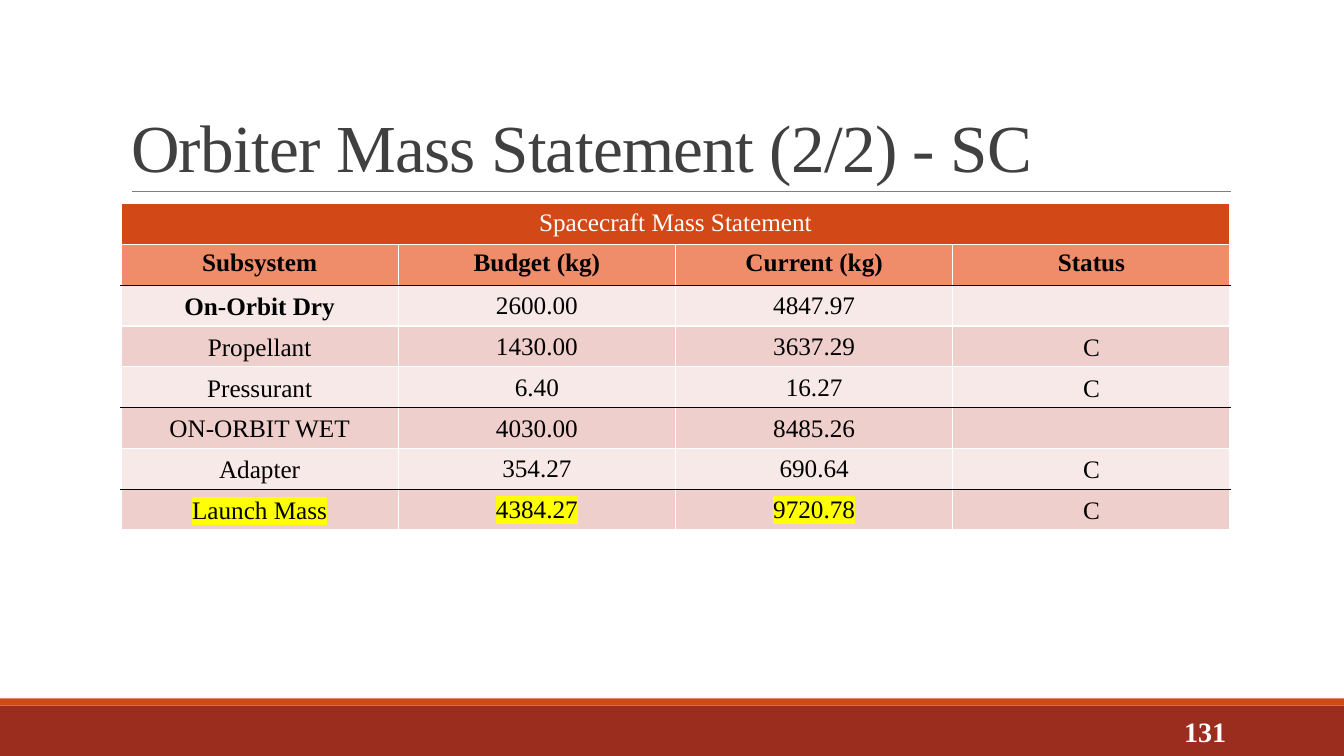
from dataclasses import dataclass

from lxml.etree import SubElement
from pptx import Presentation
from pptx.dml.color import RGBColor
from pptx.enum.shapes import MSO_CONNECTOR as Connector, MSO_SHAPE as Shape
from pptx.enum.text import MSO_ANCHOR as Anchor, MSO_AUTO_SIZE as AutoSize, PP_ALIGN as Align
from pptx.oxml.ns import qn
from pptx.util import Inches, Pt


@dataclass(frozen=True)
class Theme:
    font: str = "Times New Roman"
    title_size: int = 48
    number_size: int = 20
    table_size: int = 18
    white: str = "FFFFFF"
    black: str = "000000"
    title: str = "404040"
    rule: str = "808080"
    footer: str = "9B2D1F"
    accent: str = "D34817"
    heading: str = "EF8C6A"
    bands: tuple = ("F7E9E8", "EFCFCC")
    highlight: str = "FFFF00"


THEME = Theme()
WIDTH, HEIGHT = 13.33, 7.5
LEFT, CONTENT_WIDTH = 1.2, 11
TABLE_TOP, ROW_HEIGHT = 2.02, 0.405

TABLE_TITLE = "Spacecraft Mass Statement"
HEADINGS = ("Subsystem", "Budget (kg)", "Current (kg)", "Status")
MASSES = (
    ("On-Orbit Dry", "2600.00", "4847.97", ""),
    ("Propellant", "1430.00", "3637.29", "C"),
    ("Pressurant", "6.40", "16.27", "C"),
    ("ON-ORBIT WET", "4030.00", "8485.26", ""),
    ("Adapter", "354.27", "690.64", "C"),
    ("Launch Mass", "4384.27", "9720.78", "C"),
)
BOLD_LABEL, HIGHLIGHTED_LABEL = "On-Orbit Dry", "Launch Mass"
RULED_ROWS = {1, 4, 6}  # table rows with a black line below


def set_format(target, values):
    for name, value in values.items():
        setattr(target, name, value)


def write(frame, text, size, color, align, bold=False, highlight=None):
    paragraph = frame.paragraphs[0]
    paragraph.alignment = align
    run = paragraph.add_run()
    run.text = text
    run.font.color.rgb = RGBColor.from_string(color)
    set_format(run.font, {"name": THEME.font, "size": Pt(size), "bold": bold})
    if highlight:
        properties = run.font._element
        mark = SubElement(properties, qn("a:highlight"))
        SubElement(mark, qn("a:srgbClr"), val=highlight)
        properties.find(qn("a:latin")).addprevious(mark)
    return run


def add_band(slide, top, height, color):
    band = slide.shapes.add_shape(
        Shape.RECTANGLE, 0, Inches(top), Inches(WIDTH), Inches(height))
    band.shadow.inherit = False
    band.fill.solid()
    band.fill.fore_color.rgb = RGBColor.from_string(color)
    band.line.fill.background()


def add_rule(slide, left, right, top):
    rule = slide.shapes.add_connector(
        Connector.STRAIGHT, Inches(left), Inches(top), Inches(right), Inches(top))
    rule.line.color.rgb = RGBColor.from_string(THEME.rule)
    rule.line.width = Pt(0.5)
    SubElement(rule._element.spPr, qn("a:effectLst"))


def add_title(slide, text):
    title = slide.shapes.title
    set_format(title, {"left": Inches(LEFT), "top": Inches(0.31),
                       "width": Inches(CONTENT_WIDTH), "height": Inches(1.59)})
    set_format(title.text_frame, {"vertical_anchor": Anchor.BOTTOM,
                                  "auto_size": AutoSize.NONE, "word_wrap": True})
    run = write(title.text_frame, text, THEME.title_size, THEME.title, Align.LEFT)
    run.font._element.set("spc", "-50")
    title.text_frame.paragraphs[0].line_spacing = 0.85


def add_page_number(slide, text):
    box = slide.shapes.add_textbox(Inches(10.83), Inches(7.06), Inches(1.43), Inches(0.4))
    set_format(box.text_frame, {"vertical_anchor": Anchor.MIDDLE, "word_wrap": True})
    write(box.text_frame, text, THEME.number_size, THEME.white, Align.RIGHT, bold=True)


def set_borders(cell, row):
    colors = {
        "L": THEME.white,
        "R": THEME.white,
        "T": THEME.black if row - 1 in RULED_ROWS else THEME.white,
        "B": THEME.black if row in RULED_ROWS else THEME.white,
    }
    properties = cell._tc.get_or_add_tcPr()
    for side, color in colors.items():
        line = SubElement(properties, qn(f"a:ln{side}"), w=str(Pt(1)))
        fill = SubElement(line, qn("a:solidFill"))
        SubElement(fill, qn("a:srgbClr"), val=color)


def format_cell(cell, row, fill):
    set_borders(cell, row)
    cell.fill.solid()
    cell.fill.fore_color.rgb = RGBColor.from_string(fill)


def fill_mass_cell(cell, column, label, text):
    is_number = column in (1, 2)
    set_format(cell, {
        "margin_left": Inches(0.01), "margin_right": Inches(0.01),
        "margin_top": Inches(0.01), "margin_bottom": Inches(0 if is_number else 0.05),
        "vertical_anchor": Anchor.MIDDLE if is_number else Anchor.BOTTOM})
    marked = label == HIGHLIGHTED_LABEL and column < 3
    write(cell.text_frame, text, THEME.table_size, THEME.black, Align.CENTER,
          bold=text == BOLD_LABEL, highlight=THEME.highlight if marked else None)


def add_mass_table(slide):
    row_count, column_count = len(MASSES) + 2, len(HEADINGS)
    table = slide.shapes.add_table(
        row_count, column_count, Inches(LEFT), Inches(TABLE_TOP),
        Inches(CONTENT_WIDTH), Inches(ROW_HEIGHT * row_count)).table
    set_format(table, {"first_row": False, "horz_banding": False})

    # Fills and borders
    fills = [THEME.accent, THEME.heading]
    fills += [THEME.bands[index % 2] for index in range(len(MASSES))]
    for row, fill in enumerate(fills):
        for column in range(column_count):
            format_cell(table.cell(row, column), row, fill)

    # Title and heading rows
    table.cell(0, 0).merge(table.cell(0, column_count - 1))
    write(table.cell(0, 0).text_frame, TABLE_TITLE, THEME.table_size, THEME.white, Align.CENTER)
    for column, heading in enumerate(HEADINGS):
        write(table.cell(1, column).text_frame, heading, THEME.table_size,
              THEME.black, Align.CENTER, bold=True)

    # Mass rows
    for row, values in enumerate(MASSES, start=2):
        for column, text in enumerate(values):
            if text:
                fill_mass_cell(table.cell(row, column), column, values[0], text)


def main():
    presentation = Presentation()
    set_format(presentation, {"slide_width": Inches(WIDTH), "slide_height": Inches(HEIGHT)})
    slide = presentation.slides.add_slide(presentation.slide_layouts[5])

    # Footer bands and title rule
    add_band(slide, 7, 0.5, THEME.footer)
    add_band(slide, 6.93, 0.07, THEME.accent)
    add_rule(slide, 1.31, 12.21, 1.9)

    # Content
    add_title(slide, "Orbiter Mass Statement (2/2) - SC")
    add_page_number(slide, "131")
    add_mass_table(slide)
    presentation.save("out.pptx")


if __name__ == "__main__":
    main()
